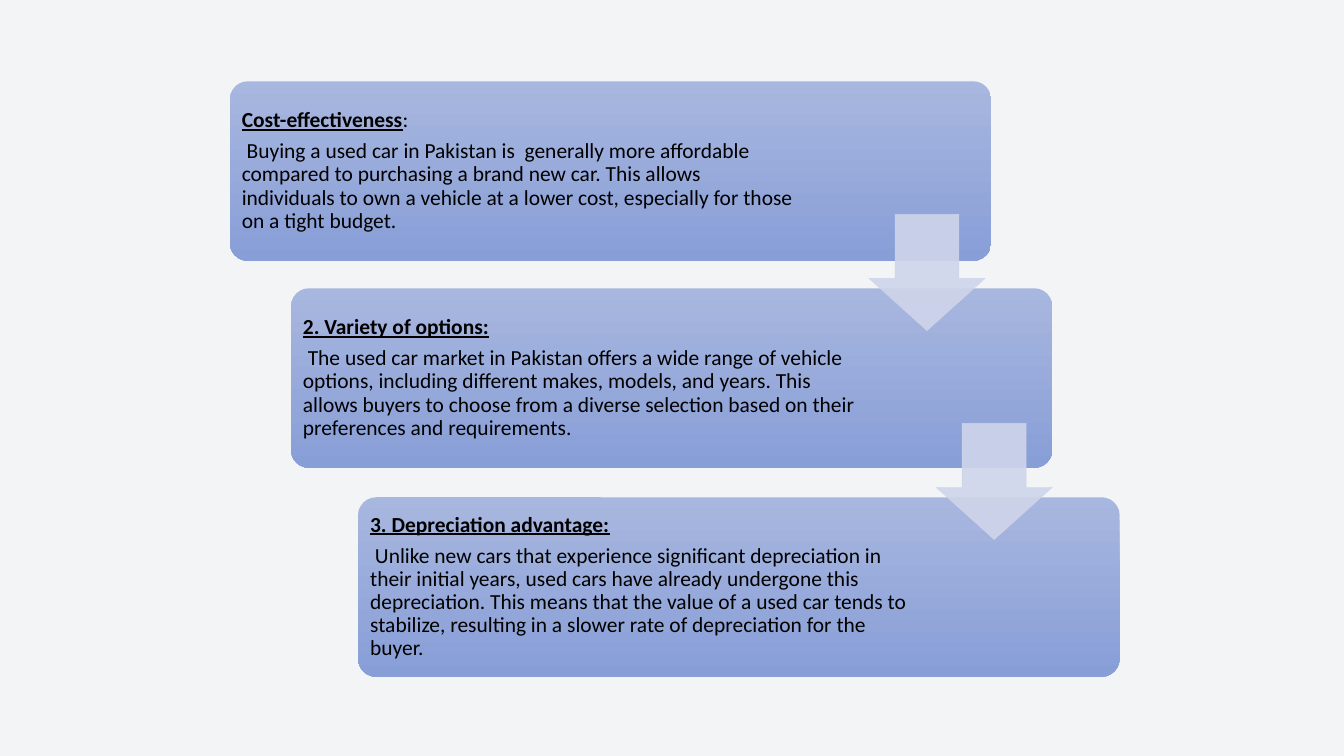
from lxml import etree
from pptx import Presentation
from pptx import util as u
from pptx.dml.color import RGBColor
from pptx.enum import shapes, text
from pptx.oxml.ns import qn

COLUMNS, ROWS = 20, 11.25
CARD_WIDTH, CARD_HEIGHT = 11.33, 2.67
ARROW_SIZE = 1.73
PADDING = 0.08

# Left column, top row, text width, heading, unemphasised ending, explanation
REASONS = [
    (3.42, 1.21, 8.46, "Cost-effectiveness", ":",
     " Buying a used car in Pakistan is  generally more affordable compared to "
     "purchasing a brand new car. This allows individuals to own a vehicle at a "
     "lower cost, especially for those on a tight budget."),
    (4.33, 4.29, 8.44, "2. Variety of options:", "",
     " The used car market in Pakistan offers a wide range of vehicle options, "
     "including different makes, models, and years. This allows buyers to choose "
     "from a diverse selection based on their preferences and requirements."),
    (5.33, 7.4, 8.44, "3. Depreciation advantage:", "",
     " Unlike new cars that experience significant depreciation in their initial "
     "years, used cars have already undergone this depreciation. This means that "
     "the value of a used car tends to stabilize, resulting in a slower rate of "
     "depreciation for the buyer."),
]


def color(hex_code):
    return RGBColor.from_string(hex_code)


class Deck:
    """Holds the style and the current slide; lengths are grid columns and rows."""
    font, size, ink = "Calibri", 23, "000000"
    background, arrow_tint = "F2F4F5", "CFD5EA"
    card_gradient = ("A8B7DF", "889ED7")

    def __init__(self):
        self.deck = Presentation()
        self.deck.slide_width = u.Inches(20)
        self.deck.slide_height = u.Inches(11.25)
        self.slide = self.deck.slides.add_slide(self.deck.slide_layouts[6])
        fill = self.slide.background.fill
        fill.solid()
        fill.fore_color.rgb = color(self.background)

    def place(self, left, top, width, height):
        column = self.deck.slide_width / COLUMNS
        row = self.deck.slide_height / ROWS
        return (int(left * column), int(top * row),
                int(width * column), int(height * row))

    def shape(self, kind, adjustments, *box):
        shape = self.slide.shapes.add_shape(kind, *self.place(*box))
        shape.shadow.inherit = False
        for index, value in enumerate(adjustments):
            shape.adjustments[index] = value
        return shape

    def card(self, *box):
        card = self.shape(shapes.MSO_SHAPE.ROUNDED_RECTANGLE, [0.1], *box)
        card.line.fill.background()
        card.fill.gradient()
        card.fill.gradient_angle = 270
        for stop, shade in zip(card.fill.gradient_stops, self.card_gradient):
            stop.color.rgb = color(shade)

    def arrow(self, *box):
        arrow = self.shape(shapes.MSO_SHAPE.DOWN_ARROW, [0.55, 0.45], *box)
        arrow.line.width = u.Pt(0.5)
        for fill in (arrow.fill, arrow.line.fill):
            fill.solid()
            fill.fore_color.rgb = color(self.arrow_tint)
        for tint in arrow.element.spPr.iter(qn("a:srgbClr")):
            etree.SubElement(tint, qn("a:alpha"), val="90000")

    def reason(self, heading, ending, explanation, *box):
        frame = self.slide.shapes.add_textbox(*self.place(*box)).text_frame
        frame.word_wrap = True
        frame.vertical_anchor = text.MSO_ANCHOR.MIDDLE
        frame.margin_left = frame.margin_right = u.Inches(0.1)
        frame.margin_top = frame.margin_bottom = u.Inches(0.1)
        title, body = frame.paragraphs[0], frame.add_paragraph()
        for paragraph in (title, body):
            paragraph.line_spacing = 0.9
            paragraph.space_after = u.Pt(8.5)
            paragraph.font.name = self.font
            paragraph.font.size = u.Pt(self.size)
            paragraph.font.color.rgb = color(self.ink)
        name = title.add_run()
        name.text = heading
        name.font.bold = name.font.underline = True
        if ending:
            title.add_run().text = ending
        body.text = explanation


def main():
    deck = Deck()
    for left, top, text_width, *words in REASONS:
        deck.card(left, top, CARD_WIDTH, CARD_HEIGHT)
        deck.reason(*words, left + PADDING, top + PADDING,
                    text_width, CARD_HEIGHT - 2 * PADDING)
    # Each arrow points into the card that follows
    for left, top, *_ in REASONS[1:]:
        deck.arrow(left + 8.6, top - 1.1, ARROW_SIZE, ARROW_SIZE)
    deck.deck.save("out.pptx")


if __name__ == "__main__":
    main()
